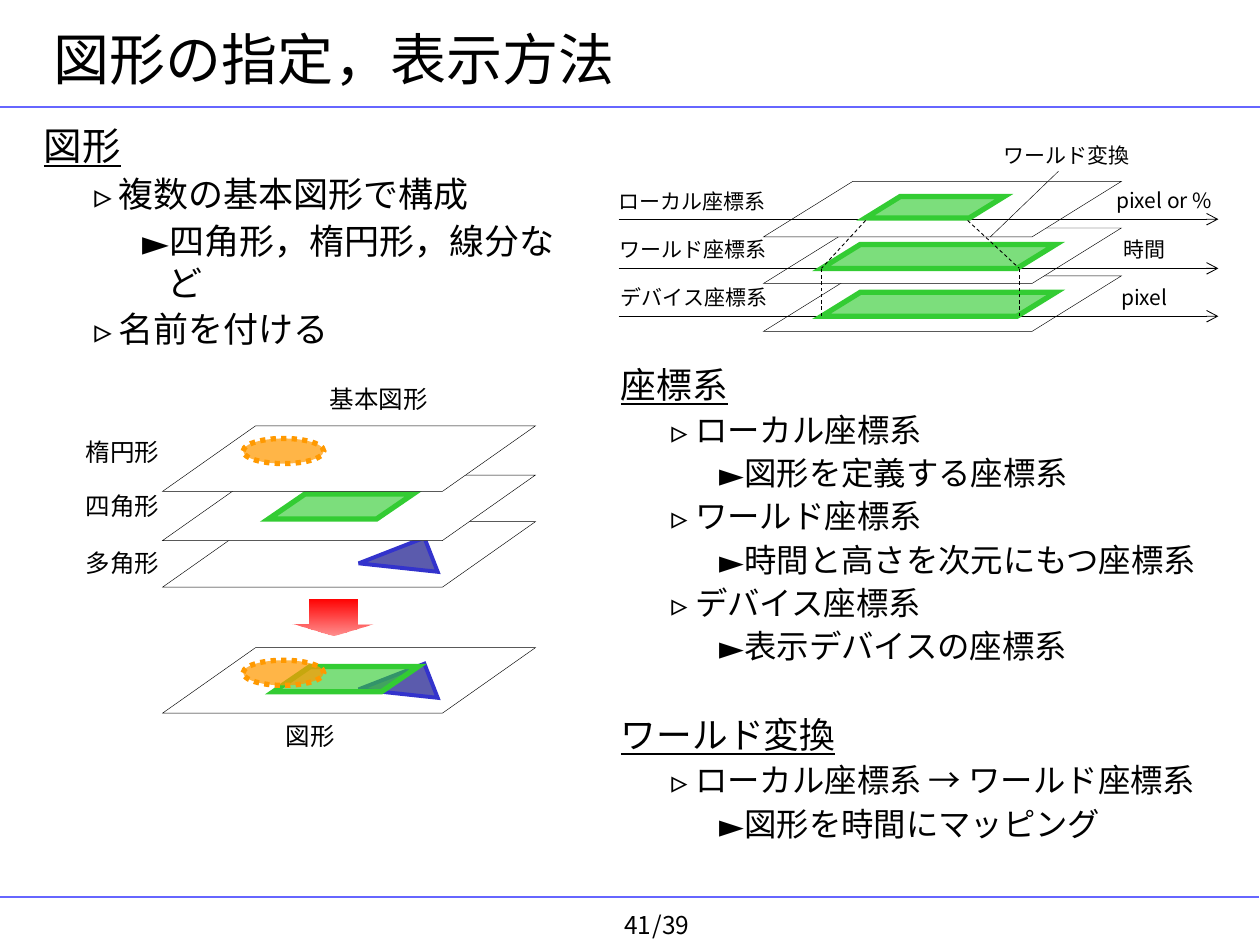
"""Build a slide on specifying and displaying figures across coordinate systems."""
from lxml import etree
from pptx import Presentation
from pptx import util as u
from pptx.dml import color
from pptx.enum import dml, shapes, text
from pptx.oxml import ns

FONT = "Noto Sans CJK JP"
SHAPE = shapes.MSO_SHAPE
GREEN, ORANGE, NAVY, BLUE = "33CC33", "FF9900", "333399", "3333CC"
rgb = color.RGBColor.from_string


def add_figure(parent, kind, box, fill, line, width, alpha=100, slant=None, rotation=0):
    shape = parent.shapes.add_shape(kind, *map(u.Inches, box))
    shape.shadow.inherit = False
    shape.rotation = rotation
    if slant:
        shape.adjustments[0] = slant
    shape.fill.solid()
    shape.fill.fore_color.rgb = rgb(fill)
    if alpha < 100:
        fill_color = shape.fill._xPr.find(".//" + ns.qn("a:srgbClr"))
        etree.SubElement(fill_color, ns.qn("a:alpha"), val=str(alpha * 1000))
    shape.line.color.rgb = rgb(line)
    shape.line.width = u.Pt(width)
    etree.SubElement(shape.line._get_or_add_ln(), ns.qn("a:miter"), lim="800000")
    return shape


def add_line(parent, points, hue="000000", width=0.5, dash=None, arrow=False):
    line = parent.shapes.add_connector(shapes.MSO_CONNECTOR.STRAIGHT, *map(u.Inches, points))
    line.line.color.rgb = rgb(hue)
    line.line.width = u.Pt(width)
    if dash:
        line.line.dash_style = dash
    if arrow:
        etree.SubElement(line.line._get_or_add_ln(), ns.qn("a:tailEnd"), type="arrow")
    etree.SubElement(line._element.spPr, ns.qn("a:effectLst"))


presentation = Presentation()
presentation.slide_width, presentation.slide_height = u.Inches(10), u.Inches(7.5)
slide = presentation.slides.add_slide(presentation.slide_layouts[6])

for right, y in [(10, 0.85), (9.99, 7.12)]:
    add_line(slide, (0, y, right, y), "6666FF", 1.5)

layers = slide.shapes.add_group_shape()
for plane_top, figures in [
    (4.14, ["triangle"]),
    (3.77, ["quadrangle"]),
    (3.38, ["ellipse"]),
    (5.14, ["triangle", "quadrangle", "ellipse"]),
]:
    add_figure(layers, SHAPE.PARALLELOGRAM, (1.29, plane_top, 2.96, 0.52),
               "FFFFFF", "000000", 0.25, slant=1.42)
    for figure in figures:
        if figure == "triangle":
            add_figure(layers, SHAPE.RIGHT_TRIANGLE, (2.88, plane_top + 0.22, 0.56, 0.29),
                       NAVY, BLUE, 2.25, 80, rotation=158.7)
        elif figure == "quadrangle":
            left = 2.13 if len(figures) == 1 else 2.17
            add_figure(layers, SHAPE.PARALLELOGRAM, (left, plane_top + 0.15, 1.15, 0.2),
                       GREEN, GREEN, 3, 64, 1.46)
        else:
            ellipse = add_figure(layers, SHAPE.OVAL, (1.93, plane_top + 0.1, 0.64, 0.2),
                                 ORANGE, ORANGE, 3, 72)
            ellipse.line.dash_style = dml.MSO_LINE.ROUND_DOT

arrow = add_figure(layers, SHAPE.RIGHT_ARROW, (2.5, 4.58, 0.29, 0.64),
                   "FF0000", "FF0000", 1, slant=0.59, rotation=90)
arrow.adjustments[1] = 0.33
arrow.line.fill.background()
arrow.fill.gradient()
arrow.fill.gradient_angle = 270
gradient = arrow._element.spPr.find(ns.qn("a:gradFill"))
gradient.set("rotWithShape", "0")
for stop in arrow.fill.gradient_stops:
    stop.color.rgb = rgb("FF0000")
last_color = gradient.findall(".//" + ns.qn("a:srgbClr"))[-1]
etree.SubElement(last_color, ns.qn("a:alpha"), val="42000")

systems = slide.shapes.add_group_shape()
for plane_top in (2.19, 1.81, 1.44):
    add_figure(systems, SHAPE.PARALLELOGRAM, (6.06, plane_top, 2.84, 0.44),
               "FFFFFF", "000000", 0.25, slant=1.61)
for y in (2.51, 1.74, 2.13):
    add_line(systems, (4.91, y, 9.67, y), arrow=True)
for box in [(6.52, 2.32, 1.86, 0.19), (6.52, 1.94, 1.86, 0.19), (6.87, 1.56, 1.1, 0.17)]:
    add_figure(systems, SHAPE.PARALLELOGRAM, box, GREEN, GREEN, 3, 64, 1.62)
add_line(systems, (7.86, 1.88, 8.4, 1.36), width=0.25)
for points in [(6.52, 2.51, 6.52, 2.13), (8.09, 2.51, 8.09, 2.13),
               (7.68, 1.75, 8.09, 2.13), (6.87, 1.75, 6.52, 2.13)]:
    add_line(systems, points, dash=dml.MSO_LINE.DASH)

bullets = {1: ("▹", 0.59, 0.19), 2: ("►", 0.98, 0.2)}
texts = [
    (slide, (0.33, 0.17, 9.33, 0.58), (32,), [(0, "図形の指定，表示方法")]),
    (slide, (4.5, 7.17, 0.67, 0.33), (14,), [(0, "41")]),
    (slide, (5.08, 7.17, 0.5, 0.33), (14,), [(0, "/39")]),
    (slide, (4.83, 2.83, 5, 4.17), (20.4, 18.5, 18.5), [
        (0, "座標系"),
        (1, "ローカル座標系"), (2, "図形を定義する座標系"),
        (1, "ワールド座標系"), (2, "時間と高さを次元にもつ座標系"),
        (1, "デバイス座標系"), (2, "表示デバイスの座標系"),
        (0, "ワールド変換"),
        (1, "ローカル座標系 → ワールド座標系"), (2, "図形を時間にマッピング"),
    ]),
    (slide, (0.25, 0.92, 4.42, 6.12), (22, 20, 20), [
        (0, "図形"),
        (1, "複数の基本図形で構成"), (2, "四角形，楕円形，線分など"),
        (1, "名前を付ける"),
    ]),
]
for left, top, width, label in [
    (2.17, 5.67, 0.59, "図形"), (0.58, 3.42, 0.78, "楕円形"), (0.58, 3.85, 0.78, "四角形"),
    (0.58, 4.3, 0.78, "多角形"), (2.52, 3, 0.98, "基本図形"),
]:
    texts.append((layers, (left, top, width, 0.34), (14,), [(0, label)]))
for left, top, width, label in [
    (4.81, 1.45, 1.36, "ローカル座標系"), (4.82, 1.83, 1.36, "ワールド座標系"),
    (4.83, 2.21, 1.36, "デバイス座標系"), (8.76, 1.44, 0.96, "pixel or %"),
    (8.82, 1.83, 0.53, "時間"), (8.8, 2.21, 0.57, "pixel"), (7.87, 1.08, 1.2, "ワールド変換"),
]:
    texts.append((systems, (left, top, width, 0.3), (12,), [(0, label)]))

for parent, box, sizes, lines in texts:
    frame = parent.shapes.add_textbox(*map(u.Inches, box)).text_frame
    frame.word_wrap = True
    if parent is not slide:
        frame.margin_right = 0
    if sizes[0] == 32:
        frame.vertical_anchor = text.MSO_ANCHOR.MIDDLE
    frame.text = "\n".join(value for level, value in lines)
    for index, (paragraph, (level, value)) in enumerate(zip(frame.paragraphs, lines)):
        if level:
            bullet, margin, hanging = bullets[level]
            properties = paragraph._p.get_or_add_pPr()
            properties.set("marL", str(u.Inches(margin)))
            properties.set("indent", str(-u.Inches(hanging)))
            etree.SubElement(properties, ns.qn("a:buFont"), typeface=FONT)
            etree.SubElement(properties, ns.qn("a:buChar"), char=bullet)
            paragraph.level = level
        if index:
            paragraph.space_before = u.Pt(2.5 if level else 27.5)
        if value == "41":
            paragraph.alignment = text.PP_ALIGN.RIGHT
            frame.margin_right = 0
        font = paragraph.runs[0].font
        font.size = u.Pt(sizes[level])
        font.color.rgb = rgb("000000")
        font.underline = len(sizes) > 1 and level == 0
        font.name = FONT
        etree.SubElement(font._rPr, ns.qn("a:ea"), typeface=FONT)

presentation.save("out.pptx")
